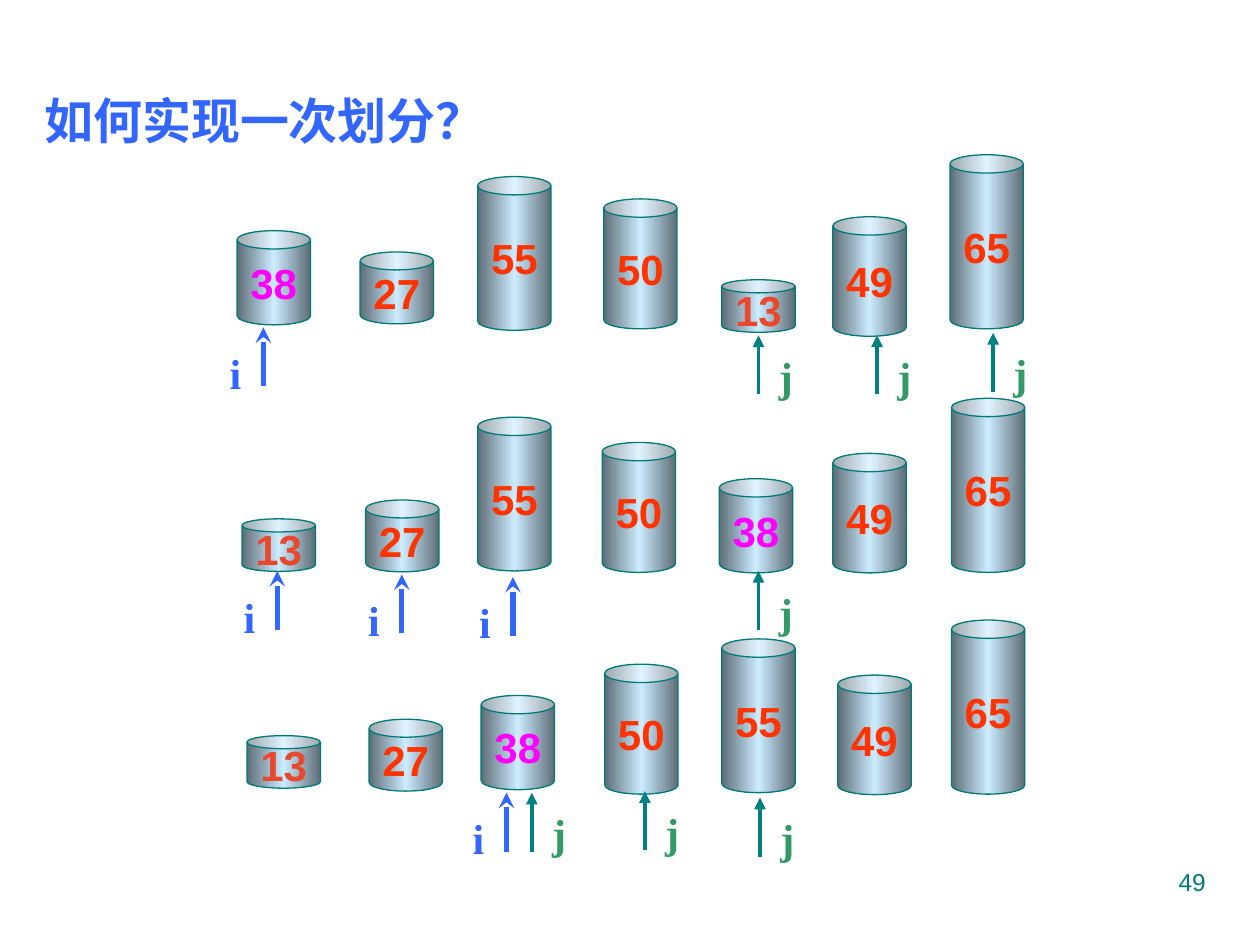
import copy

import pptx
import pptx.dml.color
import pptx.enum.dml
import pptx.enum.shapes
import pptx.enum.text
import pptx.oxml
import pptx.oxml.ns
import pptx.util

Cm = pptx.util.Cm
Pt = pptx.util.Pt
RGBColor = pptx.dml.color.RGBColor
PP_ALIGN = pptx.enum.text.PP_ALIGN
MSO_ANCHOR = pptx.enum.text.MSO_ANCHOR

BLUE = RGBColor(0x33, 0x66, 0xFF)
GREEN = RGBColor(0x33, 0x99, 0x66)
TEAL = RGBColor(0x00, 0x80, 0x80)
DARK_TEAL = RGBColor(0x00, 0x7A, 0x77)
ORANGE = RGBColor(0xFF, 0x33, 0x00)
MUTED_ORANGE = RGBColor(0xE8, 0x49, 0x2E)
MAGENTA = RGBColor(0xFF, 0x00, 0xFF)
CAN_EDGE = RGBColor(0x5E, 0x6D, 0x76)
CAN_CENTRE = RGBColor(0xCC, 0xEC, 0xFF)

CAN_WIDTH = 1.48
CAN_HEIGHTS = {13: 1.06, 27: 1.45, 38: 1.9, 49: 2.41, 50: 2.62, 55: 3.1, 65: 3.51}
NUMBER_COLOURS = {13: MUTED_ORANGE, 38: MAGENTA}  # 38 is the pivot
ARROW_LENGTH = 1.19

# Each step of the partition: (value, left, top) in cm
STEPS = [
    [(38, 4.78, 4.65), (27, 7.26, 5.08), (55, 9.63, 3.56), (50, 12.17, 4.01),
     (13, 14.55, 5.64), (49, 16.79, 4.37), (65, 19.15, 3.12)],
    [(13, 4.88, 10.46), (27, 7.37, 10.08), (55, 9.63, 8.41), (50, 12.14, 8.92),
     (38, 14.5, 9.65), (49, 16.79, 9.14), (65, 19.18, 8.03)],
    [(13, 4.98, 14.83), (27, 7.44, 14.5), (38, 9.7, 14.02), (50, 12.19, 13.39),
     (55, 14.55, 12.88), (49, 16.89, 13.61), (65, 19.18, 12.5)],
]

# Arrow tips (x, y) in cm
POINTERS = {
    "i": [(5.31, 6.6), (5.59, 11.51), (8.1, 11.58), (10.34, 11.63), (10.21, 15.98)],
    "j": [(20.02, 6.71), (17.68, 6.76), (15.29, 6.76), (15.29, 11.51),
          (13, 15.95), (10.72, 15.98), (15.32, 16.08)],
}
# Arrow colour, line width, head, label colour, label offset from the tip
POINTER_STYLES = {
    "i": (BLUE, 3, "stealth", BLUE, -0.93, 0.28),
    "j": (TEAL, 2.25, "triangle", GREEN, 0.16, 0.18),
}


class PartitionSlide:
    def __init__(self, presentation):
        self.slide = presentation.slides.add_slide(presentation.slide_layouts[5])
        self.shapes = self.slide.shapes

    def set_text(self, frame, text, size, colour, bold=True, font="Arial",
                 align=PP_ALIGN.LEFT):
        frame.text = text
        paragraph = frame.paragraphs[0]
        paragraph.alignment = align
        for run in paragraph.runs:
            run.font.name = font
            run.font.size = Pt(size)
            run.font.bold = bold
            run.font.color.rgb = colour

    def title(self, text, left, top, width, height):
        title = self.shapes.title
        title.left, title.top = Cm(left), Cm(top)
        title.width, title.height = Cm(width), Cm(height)
        frame = title.text_frame
        frame.auto_size = pptx.enum.text.MSO_AUTO_SIZE.NONE
        frame.vertical_anchor = MSO_ANCHOR.TOP
        self.set_text(frame, text, 28, BLUE)

    def label(self, text, left, top, width, height, size, colour, **style):
        box = self.shapes.add_textbox(Cm(left), Cm(top), Cm(width), Cm(height))
        box.text_frame.word_wrap = True
        self.set_text(box.text_frame, text, size, colour, **style)

    def can(self, value, left, top):
        can = self.shapes.add_shape(
            pptx.enum.shapes.MSO_SHAPE.CAN, Cm(left), Cm(top),
            Cm(CAN_WIDTH), Cm(CAN_HEIGHTS[value]))
        can.shadow.inherit = False
        can.line.color.rgb = DARK_TEAL
        can.line.width = Pt(0.75)
        self.shade(can)
        frame = can.text_frame
        frame.word_wrap = False
        frame.vertical_anchor = MSO_ANCHOR.MIDDLE
        self.set_text(frame, str(value), 24, NUMBER_COLOURS.get(value, ORANGE),
                      align=PP_ALIGN.CENTER)

    def shade(self, can):
        """Fill with a dark-light-dark gradient from left to right."""
        can.fill.gradient()
        can.fill.gradient_angle = 0
        stop_list = next(can._element.spPr.iter(pptx.oxml.ns.qn("a:gsLst")))
        stop_list.append(copy.deepcopy(stop_list[0]))
        shades = [(0, CAN_EDGE), (0.5, CAN_CENTRE), (1, CAN_EDGE)]
        for stop, (position, colour) in zip(can.fill.gradient_stops, shades):
            stop.position = position
            stop.color.rgb = colour

    def arrow(self, x, y, colour, width, head):
        """Draw an upward arrow with its tip at (x, y)."""
        arrow = self.shapes.add_connector(
            pptx.enum.shapes.MSO_CONNECTOR.STRAIGHT,
            Cm(x), Cm(y + ARROW_LENGTH), Cm(x), Cm(y))
        arrow.line.color.rgb = colour
        arrow.line.width = Pt(width)
        namespace = pptx.oxml.ns.nsdecls("a")
        arrow.line._get_or_add_ln().append(
            pptx.oxml.parse_xml(f'<a:tailEnd {namespace} type="{head}"/>'))
        arrow._element.spPr.append(pptx.oxml.parse_xml(f"<a:effectLst {namespace}/>"))

    def pointer(self, name, x, y):
        colour, width, head, label_colour, dx, dy = POINTER_STYLES[name]
        self.arrow(x, y, colour, width, head)
        self.label(name, x + dx, y + dy, 0.64, 1.27, 24, label_colour,
                   font="Times New Roman")


def main():
    presentation = pptx.Presentation()
    presentation.slide_width = Cm(25.4)
    presentation.slide_height = Cm(19.05)

    partition = PartitionSlide(presentation)
    partition.title("如何实现一次划分？", 0.64, 1.7, 21.03, 1.45)
    for step in STEPS:
        for value, left, top in step:
            partition.can(value, left, top)
    for name, tips in POINTERS.items():
        for x, y in tips:
            partition.pointer(name, x, y)
    partition.label("49", 18.21, 17.35, 6.35, 1.32, 14, DARK_TEAL,
                    bold=False, align=PP_ALIGN.RIGHT)

    presentation.save("out.pptx")


if __name__ == "__main__":
    main()
